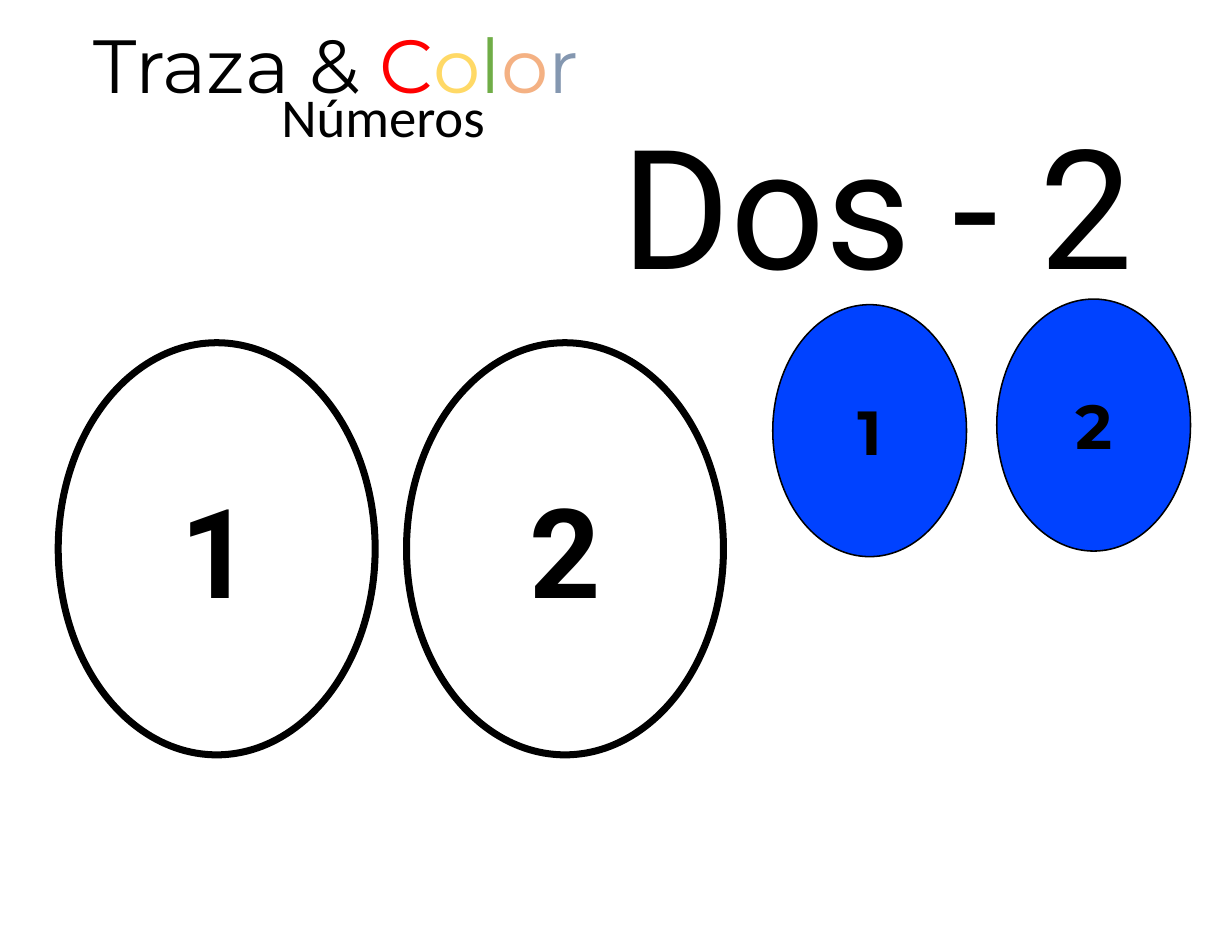
"""Build a tracing and colouring slide for the number two."""
from pptx import Presentation
from pptx.dml.color import RGBColor
from pptx.enum.shapes import MSO_SHAPE
from pptx.enum.text import MSO_ANCHOR, PP_ALIGN
from pptx.util import Inches, Pt

BLACK = RGBColor(0x00, 0x00, 0x00)
WHITE = RGBColor(0xFF, 0xFF, 0xFF)
BLUE = RGBColor(0x00, 0x42, 0xFF)
RED = RGBColor(0xFF, 0x00, 0x00)
GOLD = RGBColor(0xFF, 0xD9, 0x66)
GREEN = RGBColor(0x70, 0xAD, 0x47)
PEACH = RGBColor(0xF4, 0xB1, 0x83)
STEEL = RGBColor(0x84, 0x97, 0xB0)

deck = Presentation()
deck.slide_width = Inches(11)
deck.slide_height = Inches(8.5)
slide = deck.slides.add_slide(deck.slide_layouts[6])
COL = deck.slide_width / 110
ROW = deck.slide_height / 85


def place(left, top, width, height):
    return [round(n) for n in (left * COL, top * ROW, width * COL, height * ROW)]


def write(shape, parts, font, size, align, bold=False):
    frame = shape.text_frame
    frame.word_wrap = True
    line = frame.paragraphs[0]
    line.alignment = align
    for text, color in parts:
        run = line.add_run()
        run.text = text
        run.font.name = font
        run.font.size = Pt(size)
        run.font.bold = bold
        run.font.color.rgb = color


ovals = [
    ("1", (69, 27.2, 17.3, 22.5), BLUE, 1, "Montserrat", 40),
    ("2", (89, 26.7, 17.3, 22.5), BLUE, 1, "Montserrat", 40),
    ("1", (5.2, 30.6, 28.3, 36.8), WHITE, 4.5, "Roboto", 80),
    ("2", (36.3, 30.6, 28.3, 36.8), WHITE, 4.5, "Roboto", 80),
]
for digit, spot, fill, weight, font, size in ovals:
    oval = slide.shapes.add_shape(MSO_SHAPE.OVAL, *place(*spot))
    oval.shadow.inherit = False
    oval.fill.solid()
    oval.fill.fore_color.rgb = fill
    oval.line.color.rgb = BLACK
    oval.line.width = Pt(weight)
    oval.text_frame.vertical_anchor = MSO_ANCHOR.MIDDLE
    write(oval, [(digit, BLACK)], font, size, PP_ALIGN.CENTER, True)

title = [("Traza & ", BLACK), *zip("Color", (RED, GOLD, GREEN, PEACH, STEEL))]
labels = [
    ([("Dos - 2", BLACK)], (54.5, 8.7, 55.1, 19), "Roboto", 107, PP_ALIGN.LEFT),
    ([("Números", BLACK)], (8.6, 6.9, 51.2, 6.9), "Calibri", 35.2, PP_ALIGN.CENTER),
    (title, (7.4, 1.1, 53.6, 9.2), "Montserrat", 48.4, PP_ALIGN.LEFT),
]
for parts, spot, font, size, align in labels:
    box = slide.shapes.add_textbox(*place(*spot))
    write(box, parts, font, size, align)

deck.save("out.pptx")
